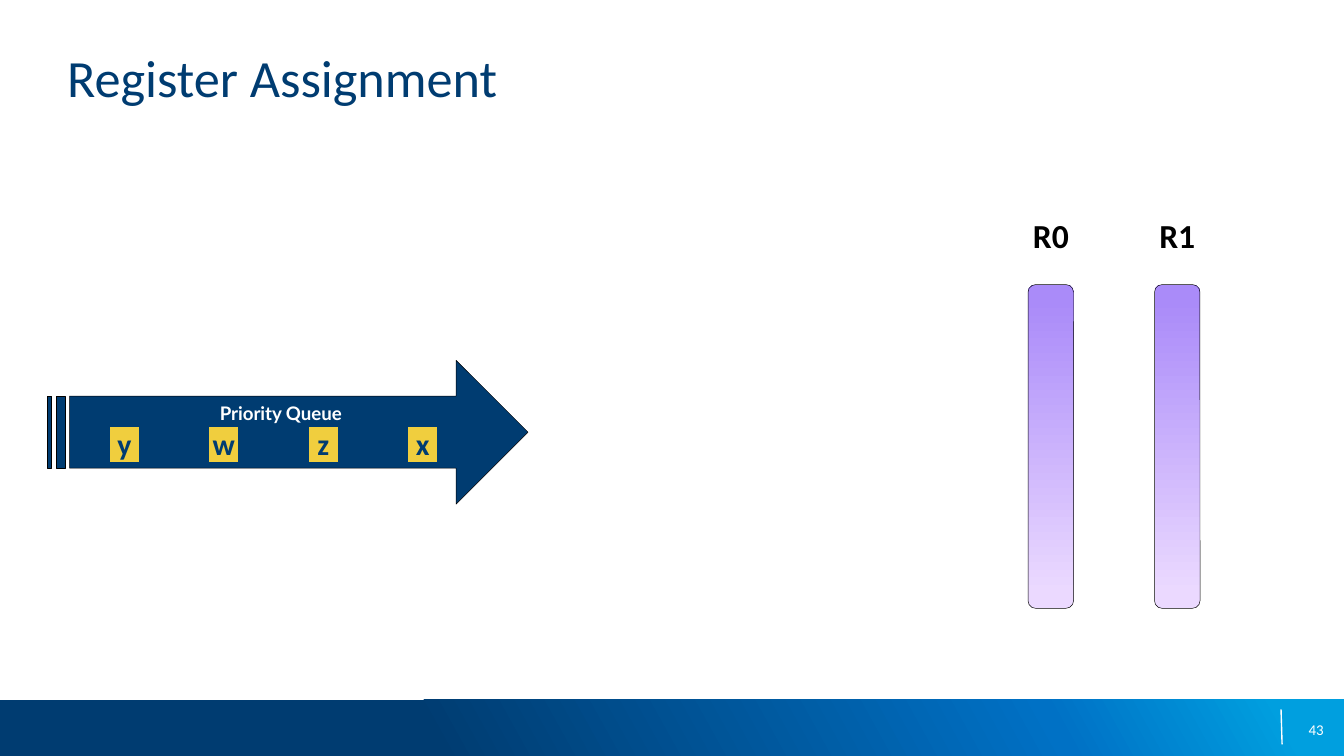
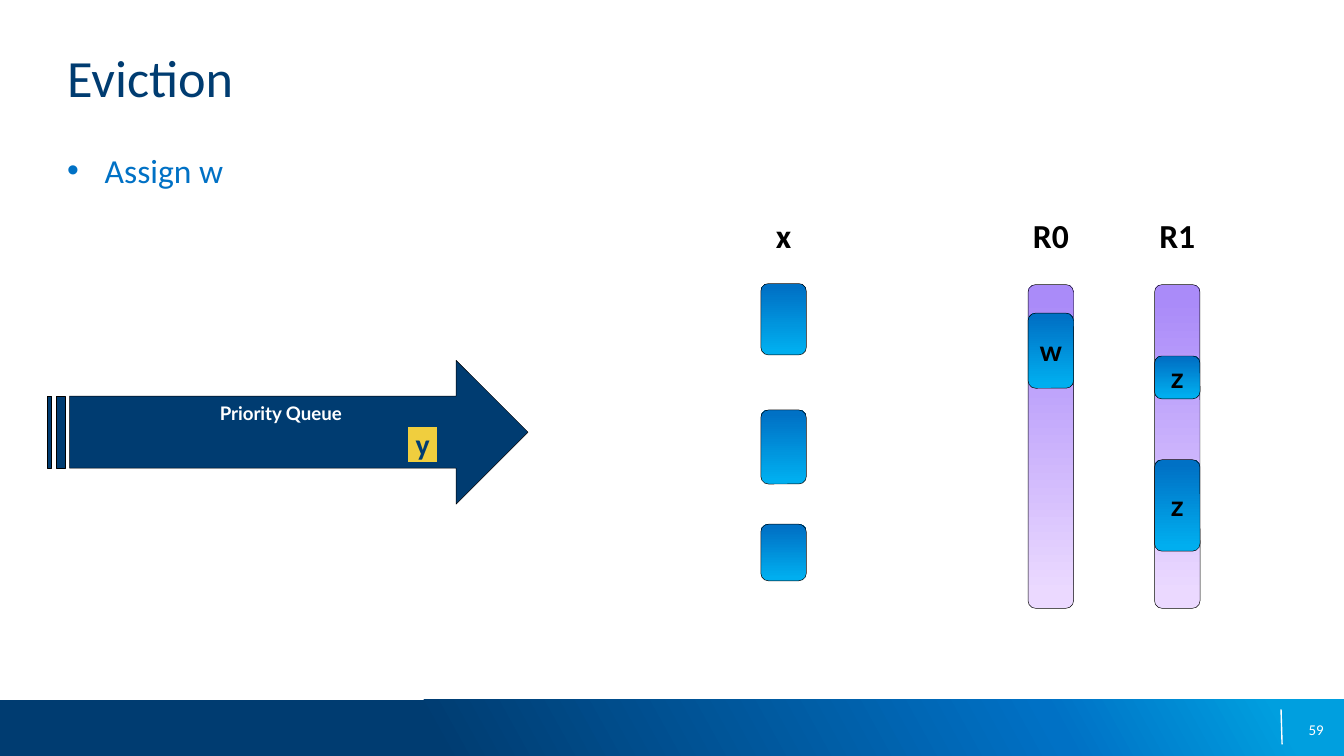
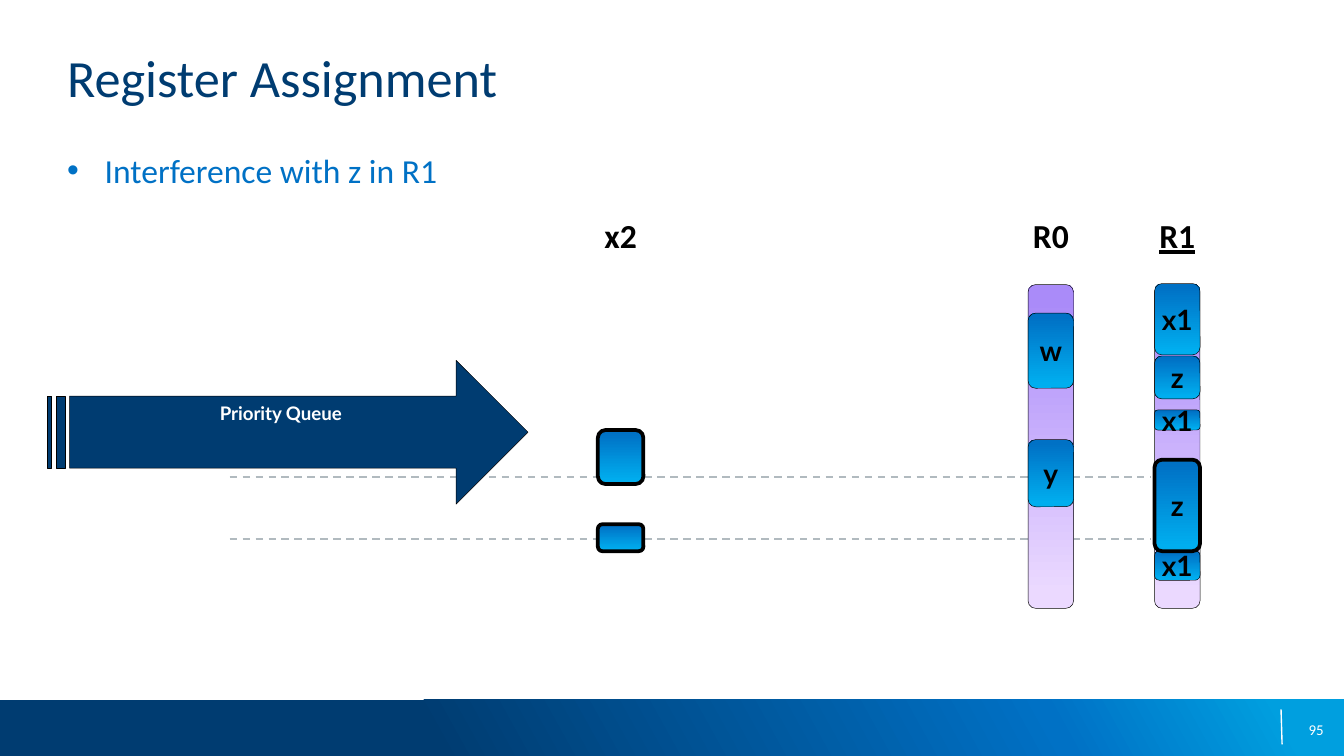
import pptx
import pptx.dml.color
import pptx.enum.dml
import pptx.enum.shapes
import pptx.enum.text
import pptx.oxml
import pptx.oxml.ns
import pptx.util
from lxml import etree
from pptx.util import Cm

SHAPES = pptx.enum.shapes.MSO_SHAPE
ALIGN = pptx.enum.text.PP_ALIGN
ANCHOR = pptx.enum.text.MSO_ANCHOR
qn = pptx.oxml.ns.qn

# Colours and gradients (position in percent, colour)
NAVY, BLUE, YELLOW = "003C71", "0071C5", "F0CE3E"
BLACK, WHITE, GREY = "000000", "FFFFFF", "B1BABF"
BAND_STOPS = [(32, NAVY), (78, BLUE), (95, "009FDF")]
REGISTER_STOPS = [(5, "EBD9FF"), (95, "AA8BF9")]
RANGE_STOPS = [(5, "00AEEF"), (95, BLUE)]

# Centres of the columns, in centimetres
X_COLUMN, X2_COLUMN, R0, R1 = 14.81, 11.73, 19.86, 22.25
BLOCK_WIDTH = 0.86
CHIP_LEFT, CHIP_STEP, CHIP_SLOTS = 2.06, 1.88, 4


def color(hex_string):
    return pptx.dml.color.RGBColor.from_string(hex_string)


def write(frame, text, size=18, font="Calibri", fill=BLACK, bold=False, underline=False,
          align=ALIGN.LEFT, anchor=ANCHOR.TOP, margins=(0, 0), wrap=True, bullet=False):
    """Put one formatted paragraph into a text frame."""
    frame.auto_size = pptx.enum.text.MSO_AUTO_SIZE.NONE
    frame.word_wrap = wrap
    frame.vertical_anchor = anchor
    frame.margin_left = frame.margin_right = Cm(margins[0])
    frame.margin_top = frame.margin_bottom = Cm(margins[1])
    paragraph = frame.paragraphs[0]
    paragraph.text = text
    paragraph.alignment = align
    if bullet:
        properties = paragraph._p.get_or_add_pPr()
        properties.set("marL", str(Cm(0.71)))
        properties.set("indent", str(Cm(-0.71)))
        etree.SubElement(properties, qn("a:buFont"), typeface="Arial")
        etree.SubElement(properties, qn("a:buChar"), char="•")
    run_font = paragraph.runs[0].font
    run_font.name, run_font.size = font, pptx.util.Pt(size)
    run_font.bold, run_font.underline = bold, underline
    run_font.color.rgb = color(fill)


class Deck:
    def __init__(self):
        self.presentation = pptx.Presentation()
        self.presentation.slide_width = Cm(25.4)
        self.presentation.slide_height = Cm(14.29)
        self.slide = None

    def new_slide(self, title, number, bullet=None):
        first = self.slide is None
        self.slide = self.presentation.slides.add_slide(self.presentation.slide_layouts[5])
        if first:
            self.master_band()
        heading = self.slide.shapes.title
        heading.left, heading.top, heading.width, heading.height = map(Cm, (1.27, 0.86, 22.86, 1.85))
        write(heading.text_frame, title, size=28, fill=NAVY)
        self.text(str(number), 19.1, 13.41, 5.92, 0.76, size=8, fill=WHITE,
                  align=ALIGN.RIGHT, anchor=ANCHOR.MIDDLE)
        if bullet:
            self.text(bullet, 1.27, 2.84, 22.86, 9.53, fill=BLUE, bullet=True)

    def master_band(self):
        """Draw the footer band and its divider, and move them to the slide master."""
        tree = self.presentation.slide_master.shapes._spTree
        band = self.shape(SHAPES.RECTANGLE, 0, 13.23, 25.4, 1.06, BAND_STOPS, angle=331)
        divider = self.line(24.21, 13.41, 24.23, 14.07, WHITE, 0.75)
        for shape_id, item in enumerate((band, divider), 100):
            item._element.xpath(".//p:cNvPr")[0].set("id", str(shape_id))
            tree.append(item._element)

    def text(self, text, left, top, width, height, **style):
        box = self.slide.shapes.add_textbox(Cm(left), Cm(top), Cm(width), Cm(height))
        write(box.text_frame, text, **style)

    def shape(self, kind, left, top, width, height, fill, outline=None, weight=0.25, angle=270):
        shape = self.slide.shapes.add_shape(kind, Cm(left), Cm(top), Cm(width), Cm(height))
        shape.shadow.inherit = False
        if isinstance(fill, str):
            shape.fill.solid()
            shape.fill.fore_color.rgb = color(fill)
        else:
            shape.fill.gradient()
            shape.fill.gradient_angle = 360 - angle
            stops = shape._element.spPr.find(".//" + qn("a:gsLst"))
            for stop in list(stops):
                stops.remove(stop)
            for position, stop_color in fill:
                stop = etree.SubElement(stops, qn("a:gs"), pos=str(position * 1000))
                etree.SubElement(stop, qn("a:srgbClr"), val=stop_color)
        if outline:
            shape.line.color.rgb = color(outline)
            shape.line.width = pptx.util.Pt(weight)
        else:
            shape.line.fill.background()
        return shape

    def line(self, left, top, right, bottom, stroke, weight, dash=None):
        connector = self.slide.shapes.add_connector(
            pptx.enum.shapes.MSO_CONNECTOR.STRAIGHT, Cm(left), Cm(top), Cm(right), Cm(bottom))
        connector.line.color.rgb = color(stroke)
        connector.line.width = pptx.util.Pt(weight)
        if dash:
            connector.line.dash_style = dash
        etree.SubElement(connector._element.spPr, qn("a:effectLst"))
        return connector

    def queue(self, variables=""):
        """Draw the queue arrow, its variables filling the slots nearest the head."""
        arrow = self.shape(SHAPES.STRIPED_RIGHT_ARROW, 0.89, 6.81, 9.09, 2.72, NAVY, BLACK)
        write(arrow.text_frame, "Priority Queue", size=10, font="Lato", fill=WHITE, bold=True,
              align=ALIGN.CENTER, margins=(0.18, 0.1), wrap=False)
        for slot, variable in enumerate(variables, CHIP_SLOTS - len(variables)):
            chip = self.shape(SHAPES.RECTANGLE, CHIP_LEFT + slot * CHIP_STEP, 8.05, 0.58, 0.69,
                              YELLOW, NAVY, 0.75)
            write(chip.text_frame, variable, size=16, fill=NAVY, bold=True, align=ALIGN.CENTER)

    def label(self, text, center, underline=False):
        self.text(text, center - 0.5, 4.06, 1, 0.76, bold=True, underline=underline,
                  align=ALIGN.CENTER)

    def block(self, center, top, height, text="", stops=RANGE_STOPS, weight=0.25):
        block = self.shape(SHAPES.ROUNDED_RECTANGLE, center - BLOCK_WIDTH / 2, top,
                           BLOCK_WIDTH, height, stops, BLACK, weight)
        if text:
            write(block.text_frame, text, size=15, font="Lato", bold=True, align=ALIGN.CENTER,
                  anchor=ANCHOR.MIDDLE, margins=(0.18, 0.1), wrap=False)

    def register(self, name, center, underline=False):
        self.label(name, center, underline)
        self.block(center, 5.38, 6.12, stops=REGISTER_STOPS)


def main():
    deck = Deck()

    # Full queue and empty registers
    deck.new_slide("Register Assignment", 43)
    deck.queue("ywzx")
    deck.register("R0", R0)
    deck.register("R1", R1)

    # x is evicted and w takes its place
    deck.new_slide("Eviction", 59, "Assign w")
    deck.register("R0", R0)
    deck.register("R1", R1)
    deck.queue("y")
    deck.label("x", X_COLUMN)
    for top, height in ((5.36, 1.35), (7.75, 1.4), (9.91, 1.07)):
        deck.block(X_COLUMN, top, height)
    deck.block(R1, 8.69, 1.73, "z")
    deck.block(R1, 6.73, 0.81, "z")
    deck.block(R0, 5.92, 1.42, "w")

    # x2 overlaps z between the dashed lines
    deck.new_slide("Register Assignment", 95, "Interference with z in R1")
    deck.register("R1", R1, underline=True)
    deck.block(R1, 6.73, 0.81, "z")
    for top, height in ((5.36, 1.35), (7.75, 0.38), (10.41, 0.56)):
        deck.block(R1, top, height, "x1")
    for height in (9.02, 10.19):
        deck.line(4.34, height, 21.74, height, GREY, 1, pptx.enum.dml.MSO_LINE.DASH)
    deck.register("R0", R0)
    deck.block(R0, 5.92, 1.42, "w")
    deck.block(R0, 8.31, 1.27, "y")
    deck.queue()
    deck.label("x2", X2_COLUMN)
    deck.block(X2_COLUMN, 8.13, 1.02, weight=2)
    deck.block(X2_COLUMN, 9.91, 0.51, weight=2)
    deck.block(R1, 8.69, 1.73, "z", weight=2)

    deck.presentation.save("out.pptx")


if __name__ == "__main__":
    main()
